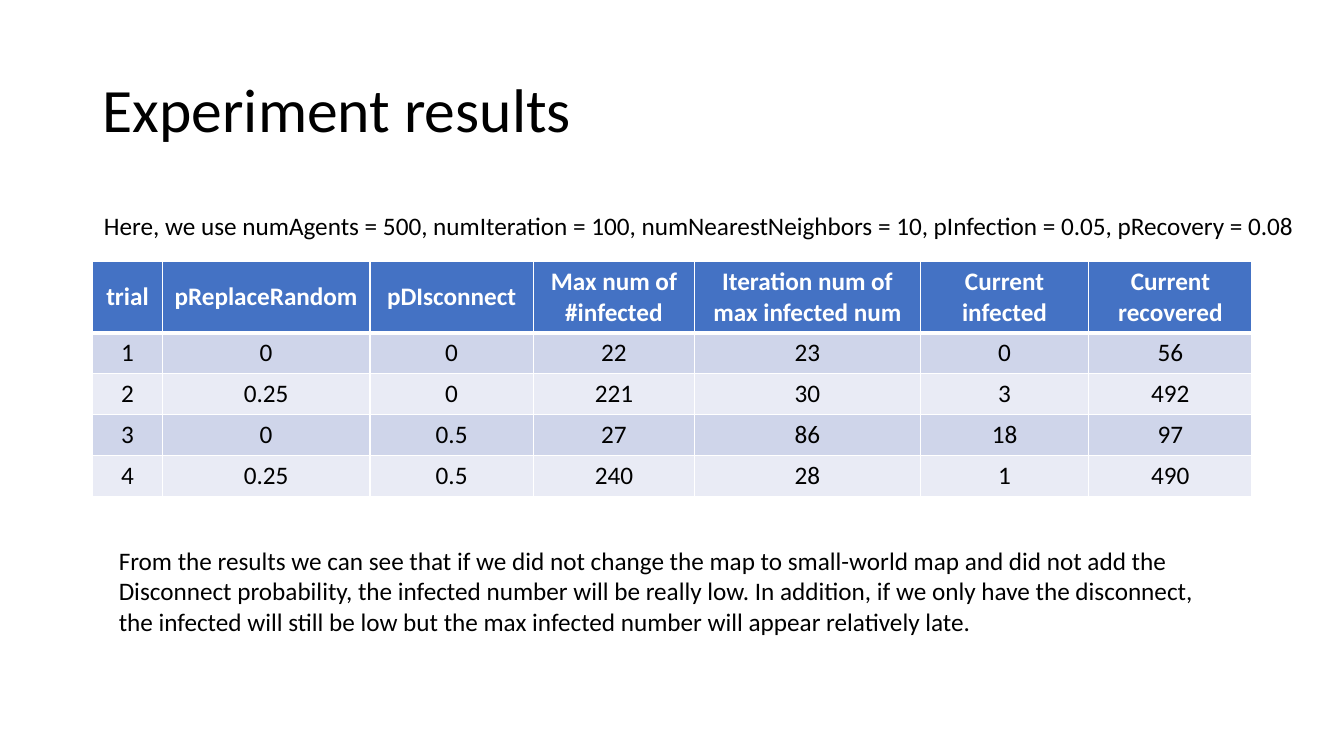
from dataclasses import dataclass

from lxml.etree import SubElement
from pptx import Presentation
from pptx.dml.color import RGBColor
from pptx.enum.text import MSO_ANCHOR as Anchor
from pptx.enum.text import MSO_AUTO_SIZE as AutoSize
from pptx.enum.text import PP_ALIGN as Align
from pptx.oxml.ns import qn
from pptx.slide import Slide
from pptx.table import _Cell as Cell
from pptx.text.text import TextFrame
from pptx.util import Inches, Pt

PAGE_WIDTH, PAGE_HEIGHT = Inches(13.33), Inches(7.5)


@dataclass(frozen=True)
class Theme:
    font: str = "Calibri"
    title_size: int = 44
    body_size: int = 18
    ink: str = "000000"
    paper: str = "FFFFFF"
    header: str = "4472C4"
    bands: tuple[str, str] = ("CFD5EA", "E9EBF5")
    thin_rule: int = 1
    thick_rule: int = 3


@dataclass(frozen=True)
class Area:
    """A rectangle given as shares of the slide's width and height."""
    left: float
    top: float
    width: float
    height: float

    def box(self) -> tuple[int, int, int, int]:
        return (int(self.left * PAGE_WIDTH), int(self.top * PAGE_HEIGHT),
                int(self.width * PAGE_WIDTH), int(self.height * PAGE_HEIGHT))


@dataclass(frozen=True)
class Column:
    heading: str
    width: float
    values: tuple[str, ...]


@dataclass(frozen=True)
class Note:
    area: Area
    lines: tuple[str, ...]


THEME = Theme()
TITLE_AREA = Area(0.069, 0.053, 0.863, 0.193)
TABLE_AREA = Area(0.069, 0.3455, 0.863, 0.31)
HEADER_HEIGHT, ROW_HEIGHT = 0.7, 0.406

COLUMNS = (
    Column("trial", 0.69, ("1", "2", "3", "4")),
    Column("pReplaceRandom", 2.06, ("0", "0.25", "0", "0.25")),
    Column("pDIsconnect", 1.62, ("0", "0", "0.5", "0.5")),
    Column("Max num of #infected", 1.6, ("22", "221", "27", "240")),
    Column("Iteration num of max infected num", 2.24, ("23", "30", "86", "28")),
    Column("Current infected", 1.67, ("0", "3", "18", "1")),
    Column("Current recovered", 1.62, ("56", "492", "97", "490")),
)

NOTES = (
    Note(Area(0.07, 0.271, 0.92, 0.053), (
        "Here, we use numAgents = 500, numIteration = 100, numNearestNeighbors = 10, "
        "pInfection = 0.05, pRecovery = 0.08",)),
    Note(Area(0.081, 0.715, 0.83, 0.135), (
        "From the results we can see that if we did not change the map to small-world map "
        "and did not add the",
        "Disconnect probability, the infected number will be really low. In addition, "
        "if we only have the disconnect,",
        "the infected will still be low but the max infected number will appear "
        "relatively late.")),
)


def write(frame: TextFrame, *lines: str, size: int = THEME.body_size,
          color: str = THEME.ink, bold: bool = False, align: Align = Align.LEFT,
          spacing: float = 1.0) -> None:
    for index, line in enumerate(lines):
        para = frame.add_paragraph() if index else frame.paragraphs[0]
        para.alignment, para.line_spacing = align, spacing
        span = para.add_run()
        span.text = line
        span.font.name, span.font.size, span.font.bold = THEME.font, Pt(size), bold
        span.font.color.rgb = RGBColor.from_string(color)


def add_borders(cell: Cell, top: int, bottom: int) -> None:
    properties = cell._tc.get_or_add_tcPr()
    widths = {"L": THEME.thin_rule, "R": THEME.thin_rule, "T": top, "B": bottom}
    for side, width in widths.items():
        rule = SubElement(properties, qn(f"a:ln{side}"), w=str(Pt(width)))
        SubElement(SubElement(rule, qn("a:solidFill")), qn("a:srgbClr"), val=THEME.paper)


def fill_cell(cell: Cell, text: str, row: int) -> None:
    is_header = row == 0
    add_borders(cell, top=THEME.thick_rule if row == 1 else THEME.thin_rule,
                bottom=THEME.thick_rule if is_header else THEME.thin_rule)
    cell.fill.solid()
    cell.fill.fore_color.rgb = RGBColor.from_string(
        THEME.header if is_header else THEME.bands[(row - 1) % 2])
    cell.vertical_anchor = Anchor.MIDDLE
    write(cell.text_frame, text, color=THEME.paper if is_header else THEME.ink,
          bold=is_header, align=Align.CENTER)


def add_title(page: Slide, text: str) -> None:
    title = page.shapes.title
    title.left, title.top, title.width, title.height = TITLE_AREA.box()
    frame = title.text_frame
    frame.auto_size, frame.vertical_anchor = AutoSize.NONE, Anchor.MIDDLE
    write(frame, text, size=THEME.title_size, spacing=0.9)


def add_results(page: Slide) -> None:
    row_count = 1 + len(COLUMNS[0].values)
    table = page.shapes.add_table(row_count, len(COLUMNS), *TABLE_AREA.box()).table
    for index, row in enumerate(table.rows):
        row.height = Inches(ROW_HEIGHT if index else HEADER_HEIGHT)
    for index, column in enumerate(COLUMNS):
        table.columns[index].width = Inches(column.width)
        for row, text in enumerate((column.heading, *column.values)):
            fill_cell(table.cell(row, index), text, row)


def add_note(page: Slide, note: Note) -> None:
    frame = page.shapes.add_textbox(*note.area.box()).text_frame
    frame.word_wrap, frame.auto_size = False, AutoSize.SHAPE_TO_FIT_TEXT
    write(frame, *note.lines)


def main() -> None:
    deck = Presentation()
    deck.slide_width, deck.slide_height = PAGE_WIDTH, PAGE_HEIGHT
    page = deck.slides.add_slide(deck.slide_layouts.get_by_name("Title Only"))
    add_title(page, "Experiment results")
    add_results(page)
    for note in NOTES:
        add_note(page, note)
    deck.save("out.pptx")


if __name__ == "__main__":
    main()
